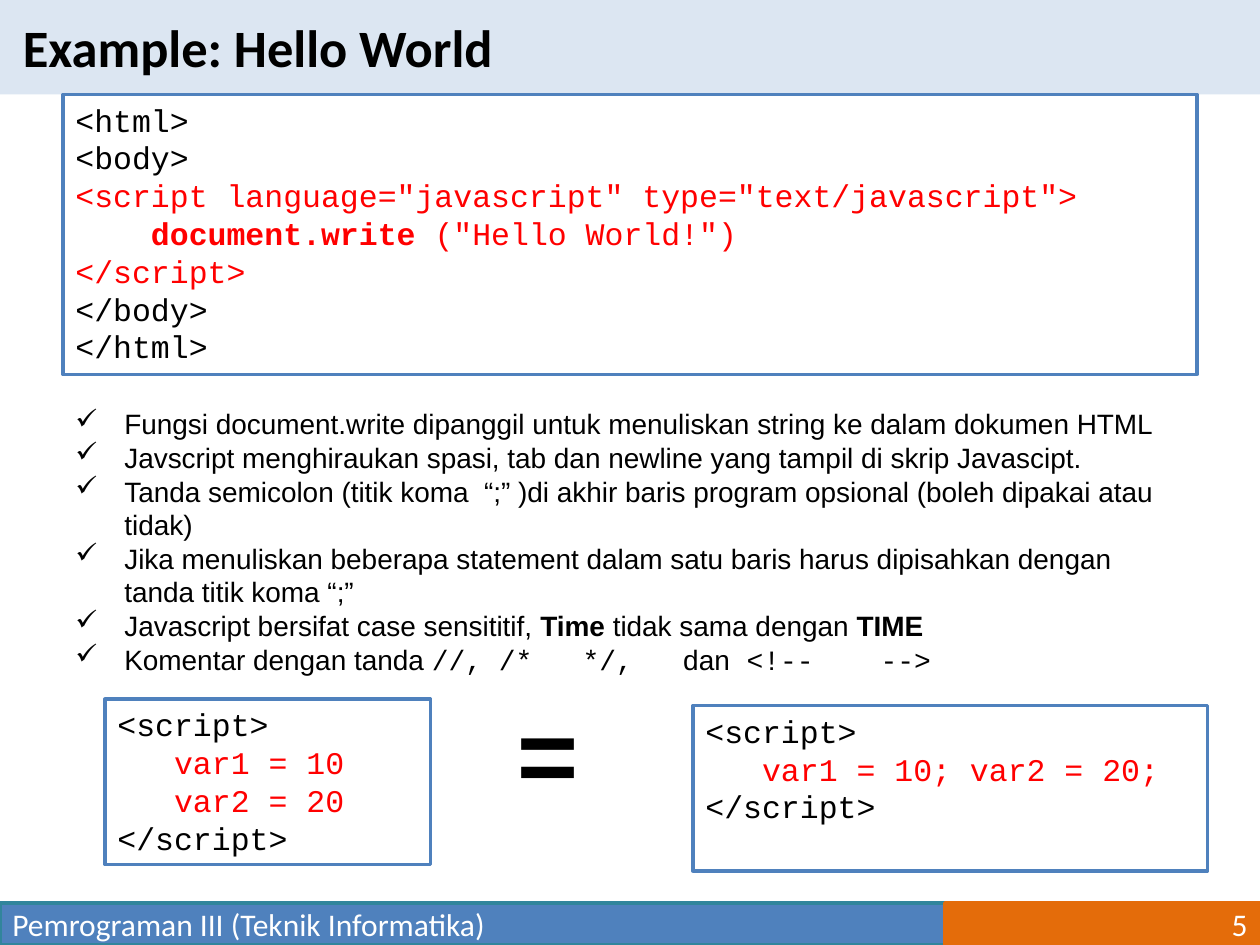
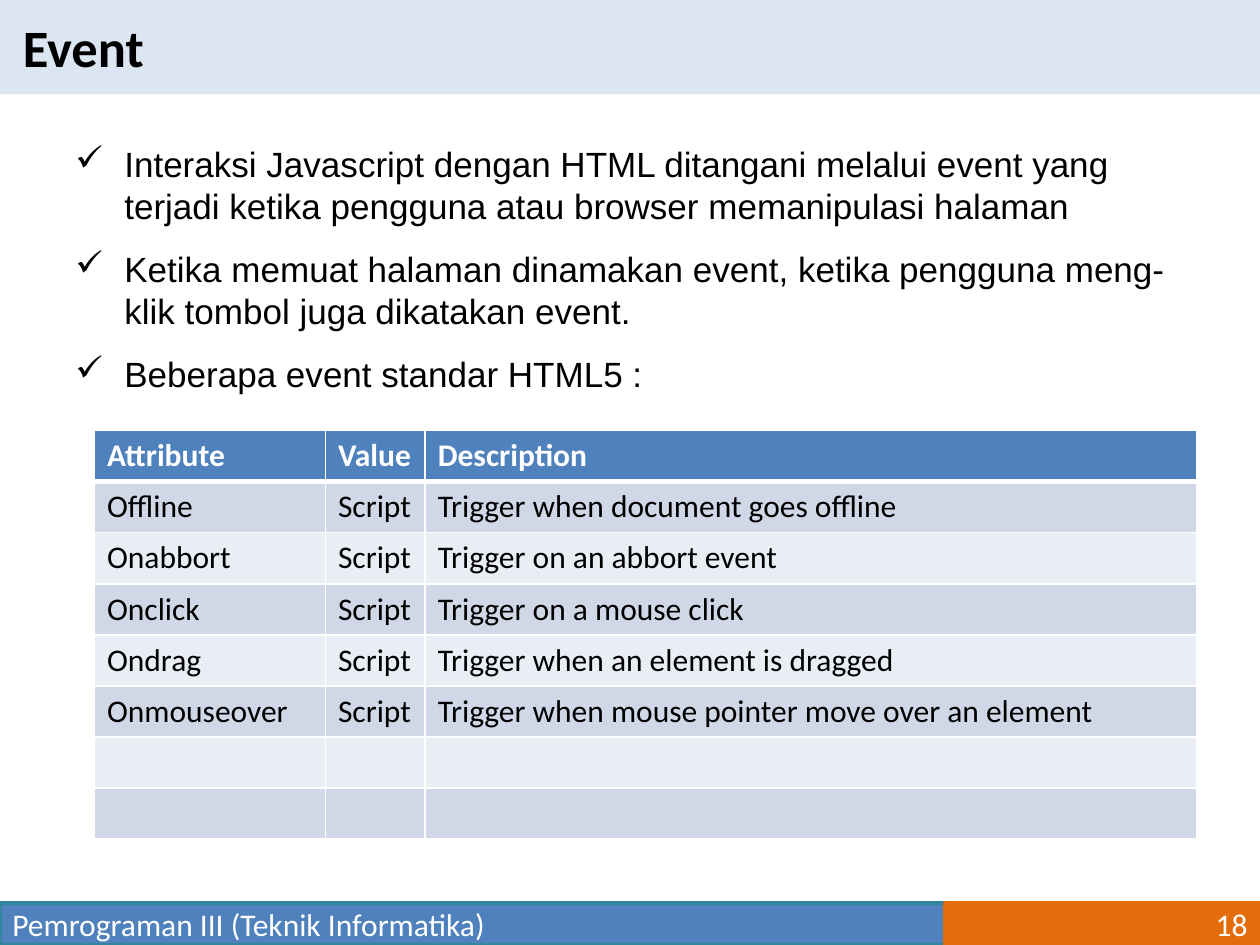
import pptx
import pptx.util
import pptx.dml.color
import pptx.enum.shapes
import pptx.enum.text
import pptx.oxml
import pptx.oxml.ns
import lxml.etree

Pt = pptx.util.Pt
RGBColor = pptx.dml.color.RGBColor
RECT = pptx.enum.shapes.MSO_SHAPE.RECTANGLE
ANCHOR = pptx.enum.text.MSO_ANCHOR
ALIGN = pptx.enum.text.PP_ALIGN

BLACK = RGBColor(0x00, 0x00, 0x00)
WHITE = RGBColor(0xFF, 0xFF, 0xFF)
RED = RGBColor(0xFF, 0x00, 0x00)
PALE = RGBColor(0xDC, 0xE6, 0xF2)
BLUE = RGBColor(0x4F, 0x81, 0xBD)
TEAL = RGBColor(0x31, 0x85, 0x9C)
ORANGE = RGBColor(0xE4, 0x6C, 0x0A)
BANDS = RGBColor(0xE9, 0xED, 0xF4), RGBColor(0xD0, 0xD8, 0xE8)

WIDE, HIGH = 720, 540
BAND = 54
FOOT = 24
SPLIT = 540
HANG = 28
CHAR = 10.8
COURSE = "Pemrograman III (Teknik Informatika)"

TITLE = {"name": "Calibri", "size": Pt(30), "bold": True}
LABEL = {"name": "Calibri", "size": Pt(18), "bold": False}
HEAD = {**LABEL, "bold": True}
CODE = {"name": "Courier New", "size": Pt(18), "bold": False}
EQUAL = {"name": "Courier New", "size": Pt(60), "bold": True}
BODY = {"name": "Arial", "bold": False}
STRONG = {"bold": True}
MONO = {"name": "Courier New"}

HELLO = [
    (0, BLACK, ["<html>"]),
    (0, BLACK, ["<body>"]),
    (0, RED, ['<script language="javascript" type="text/javascript">']),
    (4, RED, [("document.write", STRONG), ' ("Hello World!")']),
    (0, RED, ["</script>"]),
    (0, BLACK, ["</body>"]),
    (0, BLACK, ["</html>"]),
]
NOTES = [
    ["Fungsi document.write dipanggil untuk menuliskan string ke dalam dokumen HTML"],
    ["Javscript menghiraukan spasi, tab dan newline yang tampil di skrip Javascipt."],
    ["Tanda semicolon (titik koma  “;” )di akhir baris program opsional "
     "(boleh dipakai atau tidak)"],
    ["Jika menuliskan beberapa statement dalam satu baris harus dipisahkan "
     "dengan tanda titik koma “;”"],
    ["Javascript bersifat case sensititif, ", ("Time ", STRONG),
     "tidak sama dengan ", ("TIME", STRONG)],
    ["Komentar dengan tanda ", ("//, /*   */,   ", MONO), "dan",
     (" <!--    -->", MONO)],
]
POINTS = [
    ["Interaksi Javascript dengan HTML ditangani melalui event yang terjadi "
     "ketika pengguna atau browser memanipulasi halaman"],
    ["Ketika memuat halaman dinamakan event, ketika pengguna meng-klik tombol "
     "juga dikatakan event."],
    ["Beberapa event standar HTML5 :"],
]
EVENTS = [
    ("Attribute", "Value", "Description"),
    ("Offline", "Script", "Trigger when document goes offline"),
    ("Onabbort", "Script", "Trigger on an abbort event"),
    ("Onclick", "Script", "Trigger on a mouse click"),
    ("Ondrag", "Script", "Trigger when an element is dragged"),
    ("Onmouseover", "Script", "Trigger when mouse pointer move over an element"),
    ("", "", ""),
    ("", "", ""),
]


def place(box):
    return [Pt(side) for side in box]


def style(item, form):
    for key, value in form.items():
        setattr(item, key, value)


def write(para, parts, form, color=BLACK):
    for part in parts:
        text, extra = (part, {}) if isinstance(part, str) else part
        run = para.add_run()
        run.text = text
        style(run.font, {**form, **extra})
        run.font.color.rgb = color


def indent(para, left, first):
    props = para._p.get_or_add_pPr()
    props.set("marL", str(Pt(left)))
    props.set("indent", str(Pt(first)))
    return props


def rows(frame, count):
    return [frame.paragraphs[0]] + [frame.add_paragraph() for _ in range(count - 1)]


def panel(slide, box, fill, line=None):
    shape = slide.shapes.add_shape(RECT, *place(box))
    shape.shadow.inherit = False
    shape.fill.solid()
    shape.fill.fore_color.rgb = fill
    if line is None:
        shape.line.fill.background()
    else:
        shape.line.color.rgb = line
        shape.line.width = Pt(2)
    return shape


def label(slide, box, text, form, wrap=True):
    frame = slide.shapes.add_textbox(*place(box)).text_frame
    frame.word_wrap = wrap
    write(frame.paragraphs[0], [text], form)


def footer(slide, box, text, fill, line, align):
    frame = panel(slide, box, fill, line).text_frame
    style(frame, {"vertical_anchor": ANCHOR.MIDDLE, "word_wrap": True})
    para = frame.paragraphs[0]
    para.alignment = align
    write(para, [text], LABEL, WHITE)


def base(deck, title, page):
    slide = deck.slides.add_slide(deck.slide_layouts[6])
    panel(slide, (0, 0, WIDE, BAND), PALE)
    top = HIGH - FOOT
    footer(slide, (0, top, SPLIT, FOOT), COURSE, BLUE, TEAL, ALIGN.LEFT)
    footer(slide, (SPLIT, top, WIDE - SPLIT, FOOT), str(page),
           ORANGE, ORANGE, ALIGN.RIGHT)
    label(slide, (6, 5, 290, 44), title, TITLE, False)
    return slide


def code(slide, box, lines):
    frame = panel(slide, box, WHITE, BLUE).text_frame
    style(frame, {"vertical_anchor": ANCHOR.TOP, "word_wrap": True})
    for para, (depth, color, parts) in zip(rows(frame, len(lines)), lines):
        para.alignment = ALIGN.LEFT
        indent(para, depth * CHAR, 0)
        write(para, parts, CODE, color)


def checks(slide, box, items, size, gap=0):
    frame = slide.shapes.add_textbox(*place(box)).text_frame
    frame.word_wrap = True
    for para, parts in zip(rows(frame, len(items)), items):
        para.space_after = Pt(gap)
        props = indent(para, HANG, -HANG)
        mark = lxml.etree.SubElement(props, pptx.oxml.ns.qn("a:buChar"))
        mark.set("char", "✓")
        write(para, parts, {**BODY, "size": Pt(size)})


def border(cell, low):
    props = cell._tc.get_or_add_tcPr()
    for side, width in (("L", 1), ("R", 1), ("T", 1), ("B", low)):
        line = lxml.etree.SubElement(props, pptx.oxml.ns.qn("a:ln" + side))
        line.set("w", str(Pt(width)))
        fill = lxml.etree.SubElement(line, pptx.oxml.ns.qn("a:solidFill"))
        tone = lxml.etree.SubElement(fill, pptx.oxml.ns.qn("a:srgbClr"))
        tone.set("val", str(WHITE))


def grid(slide, box, data, widths):
    table = slide.shapes.add_table(len(data), len(widths), *place(box)).table
    for col, width in zip(table.columns, widths):
        col.width = Pt(width)
    for r, texts in enumerate(data):
        table.rows[r].height = Pt(box[3] / len(data))
        top = r == 0
        for c, text in enumerate(texts):
            cell = table.cell(r, c)
            border(cell, 3 if top else 1)
            cell.fill.solid()
            cell.fill.fore_color.rgb = BLUE if top else BANDS[r % 2]
            if text:
                write(cell.text_frame.paragraphs[0], [text],
                      HEAD if top else LABEL, WHITE if top else BLACK)


def script(*lines):
    body = [(3, RED, [line]) for line in lines]
    return [(0, BLACK, ["<script>"]), *body, (0, BLACK, ["</script>"])]


def hello(deck):
    slide = base(deck, "Example: Hello World", 5)
    code(slide, (36, BAND, 648, 160), HELLO)
    checks(slide, (36, 229, 648, 181), NOTES, 16)
    code(slide, (60, 399.6, 186, 94.5), script("var1 = 10", "var2 = 20"))
    code(slide, (396, 403.2, 294, 94.5), script("var1 = 10; var2 = 20;"))
    label(slide, (288, 390, 54, 101.5), "=", EQUAL)


def event(deck):
    slide = base(deck, "Event", 18)
    checks(slide, (36, 78, 648, 189), POINTS, 20, 12)
    grid(slide, (54, 246, 630, 233.6), EVENTS, (132, 57, 441))


def main():
    deck = pptx.Presentation()
    style(deck, {"slide_width": Pt(WIDE), "slide_height": Pt(HIGH)})
    hello(deck)
    event(deck)
    deck.save("out.pptx")


if __name__ == "__main__":
    main()
